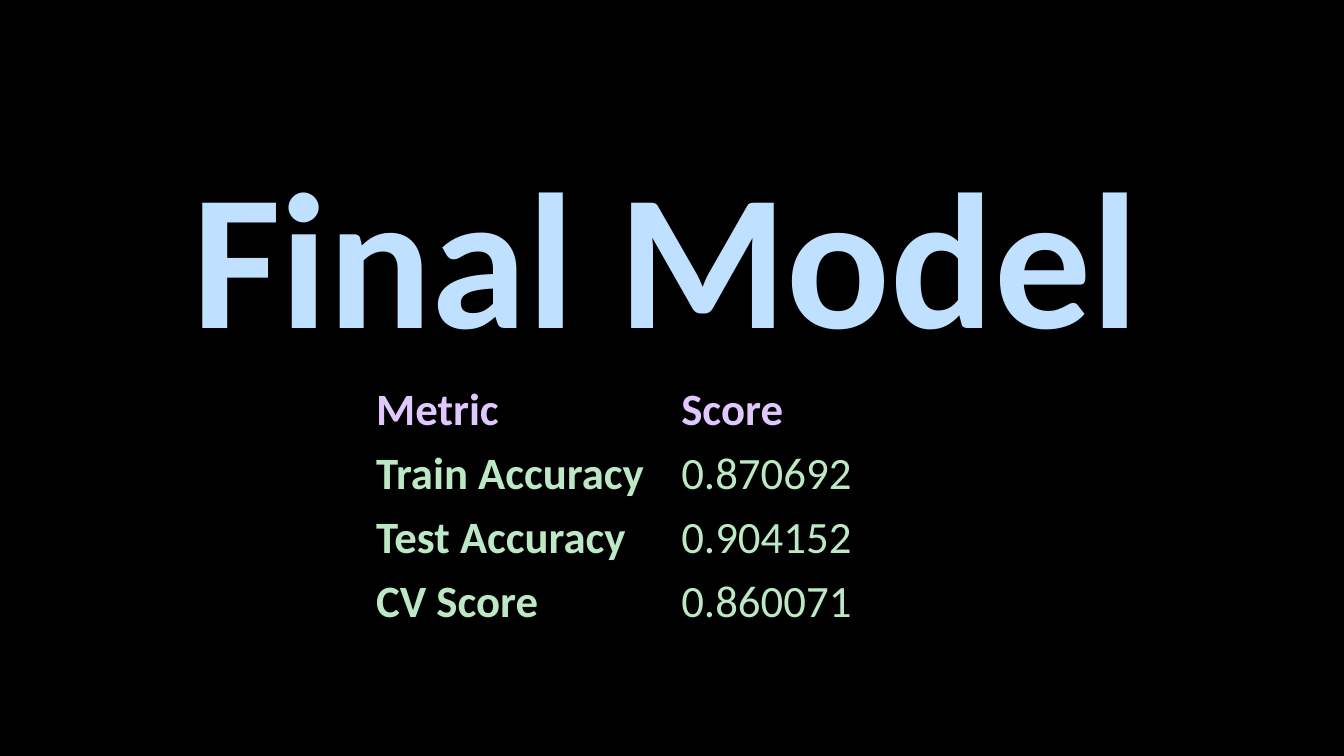
from lxml import etree
from pptx import Presentation
from pptx.dml.color import RGBColor
from pptx.enum import text
from pptx.oxml import ns
from pptx.util import Pt

# Content
TITLE = "Final Model"
SCORES = [
    ("Metric", "Score"),
    ("Train Accuracy", "0.870692"),
    ("Test Accuracy", "0.904152"),
    ("CV Score", "0.860071"),
]

# Look, lengths in points
COLORS = {"background": "000000", "title": "BFE1FF",
          "header": "E0C8FF", "score": "BDE8C5"}
TITLE_BOX = {"left": 130.3, "top": 87.8, "width": 699, "height": 174.2}
TITLE_MARGINS = {"margin_left": 7.2, "margin_right": 7.2,
                 "margin_top": 9, "margin_bottom": 0}
CELL_MARGINS = {"margin_left": 6.6, "margin_right": 6.6,
                "margin_top": 3.3, "margin_bottom": 3.3}
TABLE_LEFT, TABLE_TOP = 262.1, 270
COLUMN_WIDTH, ROW_HEIGHT = 218, 45.7


def set_lengths(target, lengths):
    for name, points in lengths.items():
        setattr(target, name, Pt(points))


def format_run(paragraph, size, color, bold):
    font = paragraph.runs[0].font
    for name, value in {"name": "Calibri", "size": Pt(size), "bold": bold}.items():
        setattr(font, name, value)
    font.color.rgb = RGBColor.from_string(COLORS[color])


def clear_borders(cell):
    properties = cell._tc.get_or_add_tcPr()
    for side in ("a:lnL", "a:lnR", "a:lnT", "a:lnB"):
        line = etree.SubElement(properties, ns.qn(side))
        etree.SubElement(line, ns.qn("a:noFill"))


def add_title(slide):
    title = slide.shapes.title
    set_lengths(title, TITLE_BOX)
    frame = title.text_frame
    frame.text = TITLE
    set_lengths(frame, TITLE_MARGINS)
    frame.word_wrap = True
    frame.auto_size = text.MSO_AUTO_SIZE.NONE
    frame.vertical_anchor = text.MSO_ANCHOR.TOP
    paragraph = frame.paragraphs[0]
    paragraph.alignment = text.PP_ALIGN.JUSTIFY
    format_run(paragraph, 138, "title", True)


def add_scores(slide):
    rows, columns = len(SCORES), len(SCORES[0])
    table = slide.shapes.add_table(
        rows, columns, Pt(TABLE_LEFT), Pt(TABLE_TOP),
        Pt(columns * COLUMN_WIDTH), Pt(rows * ROW_HEIGHT)).table
    table.first_row = table.horz_banding = False
    for row, values in enumerate(SCORES):
        is_header = row == 0
        for column, value in enumerate(values):
            cell = table.cell(row, column)
            cell.text = value
            set_lengths(cell, CELL_MARGINS)
            cell.vertical_anchor = (text.MSO_ANCHOR.BOTTOM if is_header
                                    else text.MSO_ANCHOR.MIDDLE)
            clear_borders(cell)
            cell.fill.background()
            format_run(cell.text_frame.paragraphs[0], 32,
                       "header" if is_header else "score",
                       is_header or column == 0)


def main():
    presentation = Presentation()
    presentation.slide_width, presentation.slide_height = Pt(960), Pt(540)
    slide = presentation.slides.add_slide(presentation.slide_layouts[5])
    background = slide.background.fill
    background.solid()
    background.fore_color.rgb = RGBColor.from_string(COLORS["background"])
    add_title(slide)
    add_scores(slide)
    presentation.save("out.pptx")


if __name__ == "__main__":
    main()
